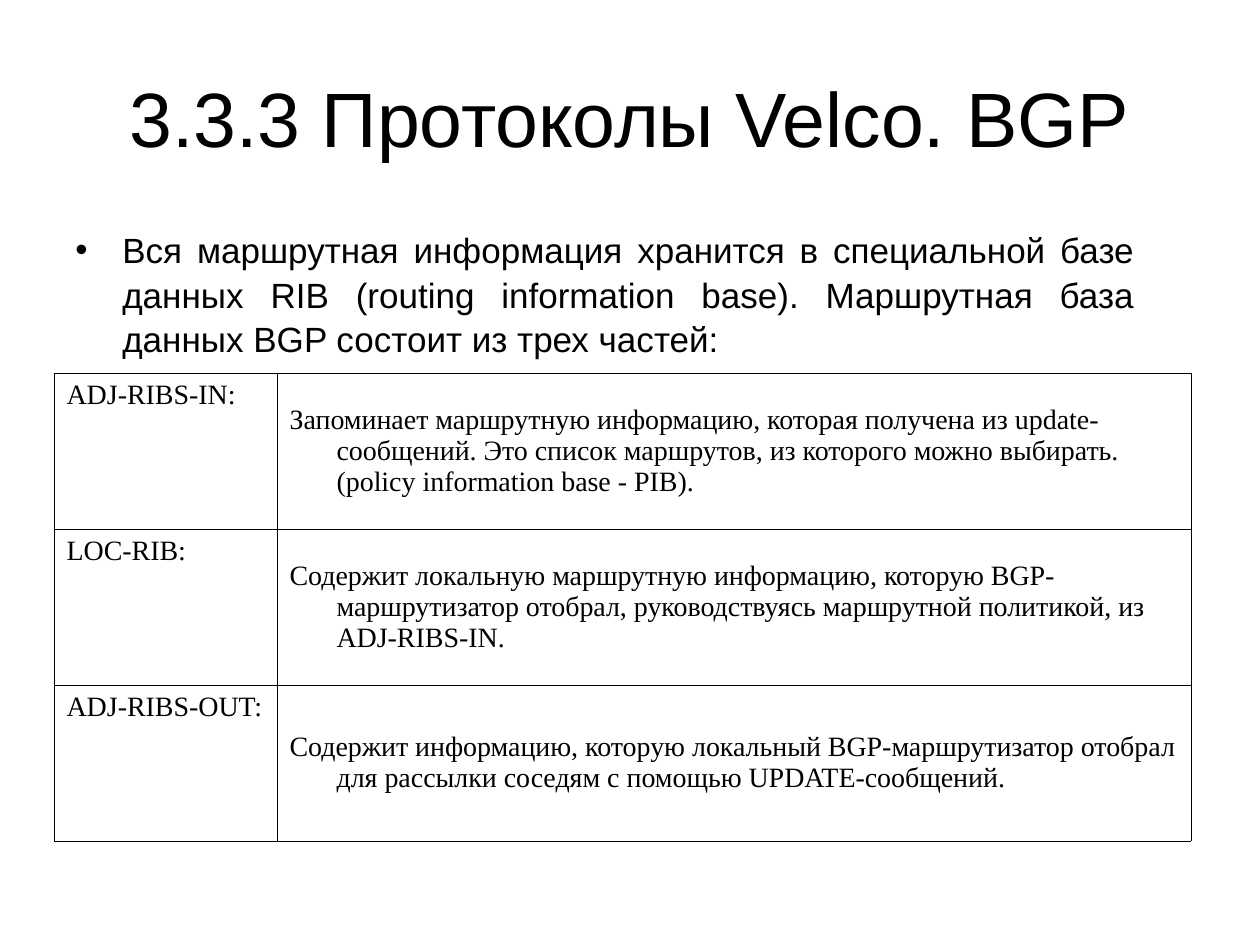
import pptx
import pptx.dml.color
import pptx.enum.text
import pptx.oxml
import pptx.oxml.ns
import pptx.util

EMU_PER_PX = 914400 / 126
COLORS = {"text": "000000", "border": "000000", "background": "FFFFFF"}
ALIGN = pptx.enum.text.PP_ALIGN
ANCHOR = pptx.enum.text.MSO_ANCHOR
INDENT = 47

TITLE = "3.3.3 Протоколы Velco. BGP"
INTRO = (
    "Вся маршрутная информация хранится в специальной базе данных RIB "
    "(routing information base). Маршрутная база данных BGP состоит из трех частей:"
)
RIB_PARTS = [
    ("ADJ-RIBS-IN:",
     "Запоминает маршрутную информацию, которая получена из update-сообщений. "
     "Это список маршрутов, из которого можно выбирать. "
     "(policy information base - PIB)."),
    ("LOC-RIB:",
     "Содержит локальную маршрутную информацию, которую BGP-маршрутизатор "
     "отобрал, руководствуясь маршрутной политикой, из ADJ-RIBS-IN."),
    ("ADJ-RIBS-OUT:",
     "Содержит информацию, которую локальный BGP-маршрутизатор отобрал "
     "для рассылки соседям с помощью UPDATE-сообщений."),
]

TITLE_FONT = {"name": "Arial", "size": pptx.util.Pt(44), "bold": False}
INTRO_FONT = {"name": "Arial", "size": pptx.util.Pt(20)}
TABLE_FONT = {"name": "Times New Roman", "size": pptx.util.Pt(16), "bold": False}


def px(length):
    return pptx.util.Emu(round(length * EMU_PER_PX))


def color(name):
    return pptx.dml.color.RGBColor.from_string(COLORS[name])


def set_attributes(target, values):
    for name, value in values.items():
        setattr(target, name, value)


def write_text(text_frame, text, font, paragraph_format):
    paragraph = text_frame.paragraphs[0]
    set_attributes(paragraph, paragraph_format)
    run = paragraph.add_run()
    run.text = text
    set_attributes(run.font, font)
    run.font.color.rgb = color("text")
    return paragraph


def hang(paragraph, bullet=None):
    """Give the paragraph a hanging indent, with a bullet if one is named."""
    properties = paragraph._p.get_or_add_pPr()
    properties.set("marL", str(px(INDENT)))
    properties.set("indent", str(-px(INDENT)))
    if bullet:
        namespace = pptx.oxml.ns.nsdecls("a")
        for xml in (f'<a:buFont {namespace} typeface="Arial"/>',
                    f'<a:buChar {namespace} char="{bullet}"/>'):
            properties.append(pptx.oxml.parse_xml(xml))


def border_cell(cell):
    properties = cell._tc.get_or_add_tcPr()
    for position, side in enumerate(("lnL", "lnR", "lnT", "lnB")):
        properties.insert(position, pptx.oxml.parse_xml(
            f'<a:{side} {pptx.oxml.ns.nsdecls("a")} w="{pptx.util.Pt(0.45)}">'
            f'<a:solidFill><a:srgbClr val="{COLORS["border"]}"/></a:solidFill>'
            f'</a:{side}>'))


def place_title(slide, left, top, width, height):
    title = slide.shapes.title
    set_attributes(title, {"left": px(left), "top": px(top),
                           "width": px(width), "height": px(height)})
    set_attributes(title.text_frame, {
        "vertical_anchor": ANCHOR.MIDDLE, "word_wrap": True,
        "auto_size": pptx.enum.text.MSO_AUTO_SIZE.NONE})
    write_text(title.text_frame, TITLE, TITLE_FONT, {"alignment": ALIGN.CENTER})


def place_intro(slide, left, top, width, height):
    text_box = slide.shapes.add_textbox(px(left), px(top), px(width), px(height))
    text_box.text_frame.word_wrap = True
    paragraph = write_text(text_box.text_frame, INTRO, INTRO_FONT, {
        "alignment": ALIGN.JUSTIFY, "space_before": pptx.util.Pt(5),
        "line_spacing": 1.06})
    hang(paragraph, "•")


def place_rib_table(slide, left, top, column_widths, row_height):
    table = slide.shapes.add_table(
        len(RIB_PARTS), len(column_widths), px(left), px(top),
        px(sum(column_widths)), px(row_height * len(RIB_PARTS))).table
    set_attributes(table, {"first_row": False, "horz_banding": False})
    for column, width in zip(table.columns, column_widths):
        column.width = px(width)
    for row, texts in zip(table.rows, RIB_PARTS):
        row.height = px(row_height)
        for cell, text, anchor in zip(row.cells, texts, (ANCHOR.TOP, ANCHOR.MIDDLE)):
            cell.vertical_anchor = anchor
            cell.fill.background()
            border_cell(cell)
            hang(write_text(cell.text_frame, text, TABLE_FONT,
                            {"alignment": ALIGN.LEFT}))


def main():
    presentation = pptx.Presentation()
    set_attributes(presentation, {"slide_width": px(1260), "slide_height": px(945)})
    slide = presentation.slides.add_slide(presentation.slide_layouts[5])
    slide.background.fill.solid()
    slide.background.fill.fore_color.rgb = color("background")
    place_title(slide, 63, 38, 1134, 158)
    place_intro(slide, 63, 220, 1084, 624)
    place_rib_table(slide, 54, 373, (223, 914), 156)
    presentation.save("out.pptx")


if __name__ == "__main__":
    main()
